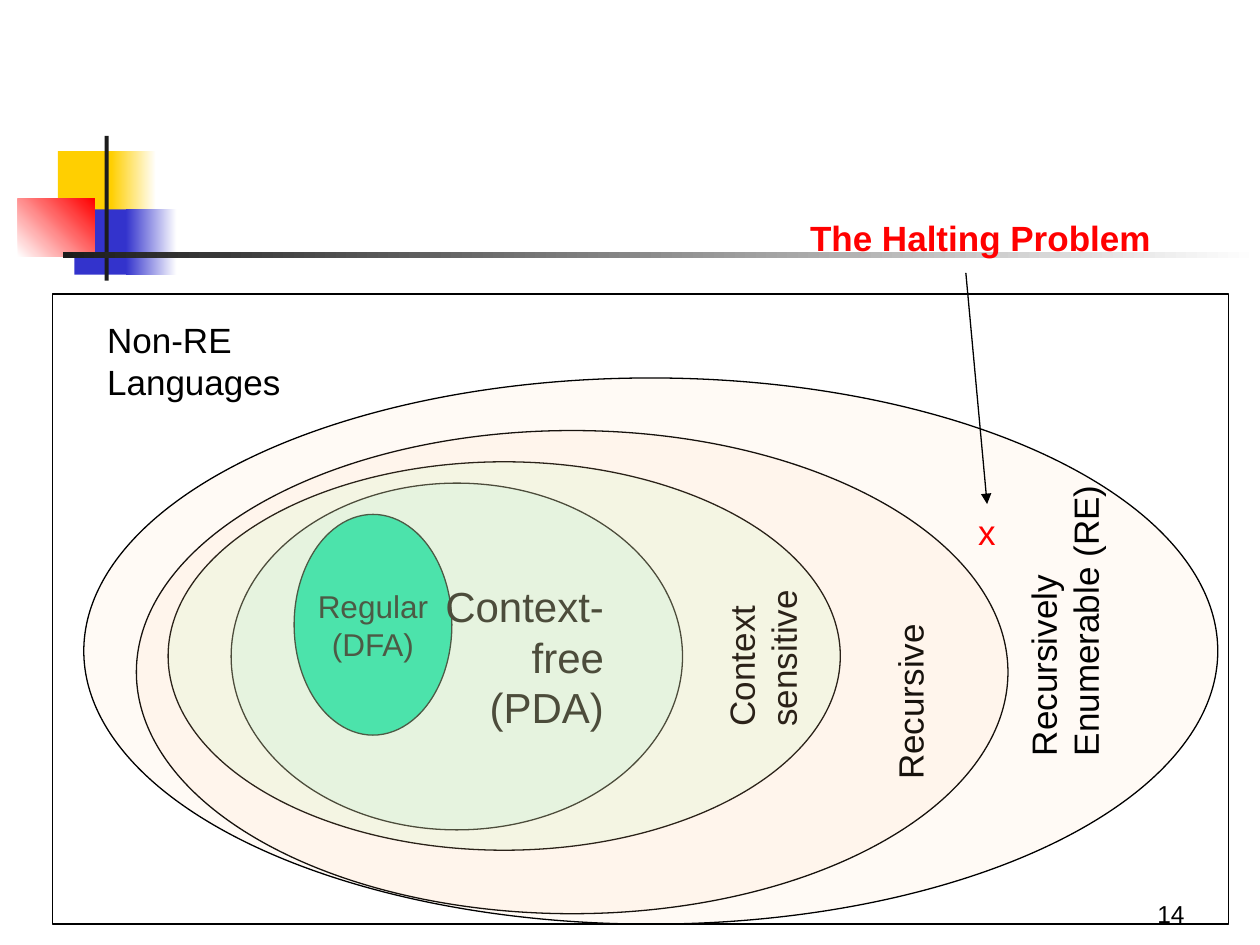
"""Build a slide that nests the classes of formal languages."""
import lxml.etree
import pptx
import pptx.dml.color
import pptx.enum.shapes
import pptx.enum.text
import pptx.oxml.ns
import pptx.util

Cm, Pt = pptx.util.Cm, pptx.util.Pt
SHAPE = pptx.enum.shapes.MSO_SHAPE
ALIGN = pptx.enum.text.PP_ALIGN
ANCHOR = pptx.enum.text.MSO_ANCHOR
qn = pptx.oxml.ns.qn

COLORS = {
    "black": "000000", "white": "FFFFFF", "ink": "1C1C1C", "red": "FF0000",
    "yellow": "FFCF01", "blue": "3333CC", "green": "00E4A8",
    "mint": "CCFFCC", "peach": "FFCC99",
}
DECOR = [
    ((1.17, 3.05, 1.22, 1.32), ("yellow",), 0),
    ((2.24, 3.05, 0.91, 1.32), ("yellow", "white"), 0),
    ((1.5, 4.22, 1.17, 1.32), ("blue",), 0),
    ((2.54, 4.22, 1.02, 1.32), ("blue", "white"), 0),
    ((0.36, 4.01, 1.55, 1.17), ("white", "red"), 45),
    ((2.11, 2.74, 0.08, 2.92), ("ink",), 0),
    ((1.27, 5.08, 24.13, 0.13), ("ink", "white"), 0),
]
CLASSES = [
    {"box": (5.93, 10.37, 3.18, 4.45), "fill": "green", "opacity": 100,
     "inside": ("Regular\n(DFA)", 18, ALIGN.CENTER, False)},
    {"box": (4.66, 9.74, 9.1, 6.99), "fill": "green", "opacity": 9,
     "inside": ("Context-\vfree\n(PDA)", 24, ALIGN.RIGHT, True)},
    {"box": (3.39, 9.31, 13.55, 7.83), "fill": "mint", "opacity": 20,
     "label": ("Context\nsensitive", (13.74, 12.29, 3.25, 1.96))},
    {"box": (2.75, 8.68, 17.57, 9.74), "fill": "peach", "opacity": 9,
     "label": ("Recursive", (16.51, 13.59, 3.66, 1.1))},
    {"box": (1.69, 7.62, 22.86, 11.01), "fill": "peach", "opacity": 9,
     "label": ("Recursively\vEnumerable (RE)", (18.47, 11.53, 5.97, 1.96))},
]
FRAME = (1.06, 5.93, 23.71, 12.7)
OUTSIDE = ("Non-RE\vLanguages", (1.91, 6.3, 6.71, 1.1))
PROBLEM = ("The Halting Problem", (16.08, 4.24, 7.8, 1.1))
MARK = ("x", (19.47, 10.16, 0.86, 1.1))
ARROW = (19.47, 5.5, 19.9, 10.16)
NUMBER = ("14", (18.85, 17.58, 5.28, 1.27))


def rgb(name):
    return pptx.dml.color.RGBColor.from_string(COLORS[name])


def write(sp, text, size=20, color="black", align=ALIGN.LEFT,
          anchor=ANCHOR.TOP, wrap=False, bold=False):
    tf = sp.text_frame
    tf.word_wrap = wrap
    tf.vertical_anchor = anchor
    tf.text = text
    for p in tf.paragraphs:
        p.alignment = align
        p.font.name = "Arial"
        p.font.size = Pt(size)
        p.font.bold = bold
        p.font.color.rgb = rgb(color)


def add_text(s, text, box, rotation=0, **style):
    sp = s.shapes.add_textbox(*map(Cm, box))
    sp.rotation = rotation
    write(sp, text, **style)


def add_shape(s, kind, box, fills=(), angle=0, opacity=100, outlined=True):
    sp = s.shapes.add_shape(kind, *map(Cm, box))
    sp.shadow.inherit = False
    if len(fills) > 1:
        sp.fill.gradient()
        sp.fill.gradient_angle = angle
        for stop, name in zip(sp.fill.gradient_stops, fills):
            stop.color.rgb = rgb(name)
    elif fills:
        sp.fill.solid()
        sp.fill.fore_color.rgb = rgb(fills[0])
    else:
        sp.fill.background()
    if opacity < 100:
        color = sp.fill._xPr.find(qn("a:solidFill"))[0]
        lxml.etree.SubElement(color, qn("a:alpha"), val=str(opacity * 1000))
    if outlined:
        sp.line.color.rgb = rgb("black")
        sp.line.width = Pt(0.75)
    else:
        sp.line.fill.background()
    return sp


def add_arrow(s, ends):
    line = s.shapes.add_connector(
        pptx.enum.shapes.MSO_CONNECTOR.STRAIGHT, *map(Cm, ends))
    line.line.color.rgb = rgb("black")
    line.line.width = Pt(0.75)
    lxml.etree.SubElement(line.line._get_or_add_ln(), qn("a:tailEnd"),
                          type="triangle")
    lxml.etree.SubElement(line._element.spPr, qn("a:effectLst"))


def main():
    prs = pptx.Presentation()
    prs.slide_width, prs.slide_height = Cm(25.4), Cm(19.05)
    s = prs.slides.add_slide(prs.slide_layouts[6])

    for box, fills, angle in DECOR:
        add_shape(s, SHAPE.RECTANGLE, box, fills, angle, outlined=False)
    add_text(s, *NUMBER, size=14, align=ALIGN.RIGHT, anchor=ANCHOR.BOTTOM,
             wrap=True)

    for item in CLASSES:
        sp = add_shape(s, SHAPE.OVAL, item["box"], (item["fill"],),
                       opacity=item["opacity"])
        if "inside" in item:
            text, size, align, wrap = item["inside"]
            write(sp, text, size, align=align, anchor=ANCHOR.MIDDLE, wrap=wrap)
        if "label" in item:
            add_text(s, *item["label"], rotation=270)

    add_text(s, *OUTSIDE, wrap=True)
    add_shape(s, SHAPE.RECTANGLE, FRAME)
    add_text(s, *PROBLEM, color="red", bold=True, wrap=True)
    add_arrow(s, ARROW)
    add_text(s, *MARK, color="red")
    prs.save("out.pptx")


if __name__ == "__main__":
    main()
